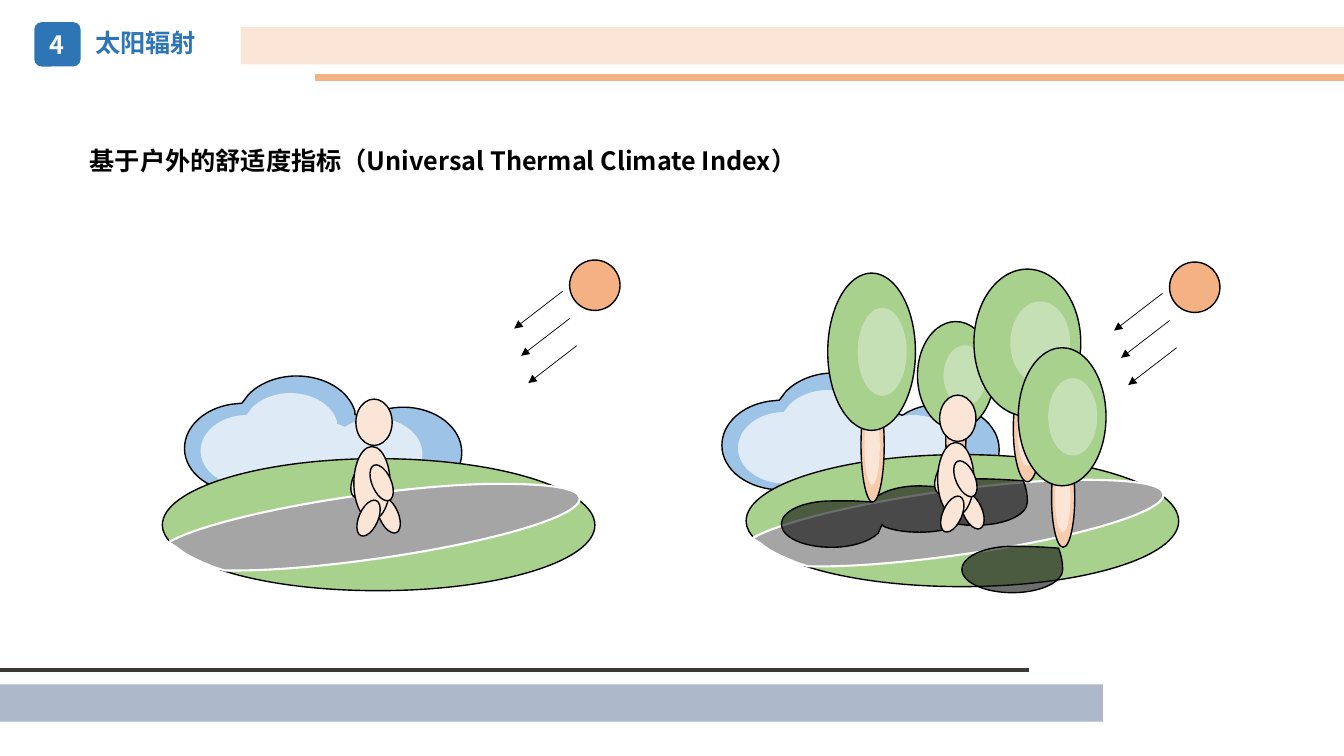
from dataclasses import dataclass
from typing import Optional

from pptx import Presentation
from pptx.dml.color import RGBColor
from pptx.enum.shapes import MSO_CONNECTOR, MSO_SHAPE
from pptx.enum.text import MSO_ANCHOR, MSO_AUTO_SIZE, PP_ALIGN
from pptx.oxml.ns import qn
from pptx.util import Inches, Pt
from lxml.etree import SubElement

FONT = "Noto Sans CJK SC"
COLOURS = {
    "blue": "2E75B6", "white": "FFFFFF", "black": "000000", "skin": "FBE5D6",
    "slate": "ADB9CA", "orange": "F4B183", "charcoal": "3B3838",
    "cloud": "9DC3E6", "cloud light": "DEEBF7", "green": "A9D18E",
    "green light": "C5E0B4", "road": "A5A5A5", "shade": "0D0D0D", "bark": "F8CBAD",
}

# Outlines: a pair is a corner, six numbers are a Bezier curve
CLOUD = [
    (1.11, 0), (1.4, 0, 1.63, 0.15, 1.69, 0.35), (1.69, 0.38), (1.79, 0.42), (1.84, 0.39),
    (1.93, 0.34, 2.05, 0.31, 2.17, 0.31), (2.49, 0.31, 2.75, 0.51, 2.75, 0.76),
    (2.75, 1.01, 2.49, 1.21, 2.17, 1.21), (2.09, 1.21, 2.01, 1.2, 1.94, 1.17),
    (1.85, 1.14), (1.79, 1.17), (1.7, 1.22, 1.59, 1.25, 1.47, 1.25),
    (1.3, 1.25, 1.16, 1.2, 1.05, 1.11), (0.98, 1.05), (0.87, 1.11),
    (0.78, 1.14, 0.69, 1.16, 0.59, 1.16), (0.26, 1.16, 0, 0.96, 0, 0.72),
    (0, 0.5, 0.2, 0.32, 0.47, 0.28), (0.57, 0.27), (0.63, 0.19),
    (0.73, 0.08, 0.91, 0, 1.11, 0),
]
LAWN = [
    (3.75, 4.55), (4.94, 4.55, 5.9, 4.85, 5.9, 5.21), (5.9, 5.57, 4.94, 5.86, 3.75, 5.86),
    (3.16, 5.86, 2.63, 5.79, 2.24, 5.67), (2.18, 5.65), (2.27, 5.65),
    (2.58, 5.65, 2.96, 5.62, 3.38, 5.56), (4.34, 5.43, 5.1, 5.2, 5.08, 5.05),
    (5.06, 4.91, 4.26, 4.89, 3.31, 5.02), (2.59, 5.12, 1.98, 5.28, 1.73, 5.41),
    (1.71, 5.4), (1.65, 5.34, 1.61, 5.28, 1.61, 5.21), (1.61, 4.85, 2.57, 4.55, 3.75, 4.55),
]
ROAD = [
    (4.95, 4.8), (5.43, 4.8, 5.74, 4.84, 5.75, 4.94), (5.78, 5.12, 4.85, 5.39, 3.69, 5.55),
    (3.18, 5.62, 2.71, 5.66, 2.34, 5.66), (2.23, 5.66), (2.13, 5.63),
    (1.98, 5.57, 1.84, 5.51, 1.75, 5.43), (1.67, 5.38), (1.69, 5.37),
    (1.99, 5.21, 2.73, 5.03, 3.6, 4.91), (4.11, 4.84, 4.58, 4.8, 4.95, 4.8),
]
TREE_SHADE = [
    (9.69, 4.75), (9.84, 4.75, 10, 4.76, 10.15, 4.77), (10.18, 4.84, 10.19, 4.91, 10.19, 4.98),
    (10.19, 5.11, 9.96, 5.21, 9.69, 5.21), (9.59, 5.21),
    (9.5, 5.2), (9.47, 5.22), (9.38, 5.26, 9.26, 5.28, 9.12, 5.28),
    (8.98, 5.28, 8.85, 5.26, 8.76, 5.22), (8.75, 5.2), (8.71, 5.29),
    (8.63, 5.37, 8.45, 5.43, 8.25, 5.43), (7.97, 5.43, 7.75, 5.33, 7.75, 5.2),
    (7.75, 5.07, 7.97, 4.97, 8.25, 4.97), (8.48, 4.97),
    (8.65, 4.98), (8.66, 4.96), (8.73, 4.88, 8.91, 4.82, 9.12, 4.82), (9.33, 4.83),
    (9.34, 4.82), (9.43, 4.78, 9.55, 4.75, 9.69, 4.75),
]


@dataclass
class Box:
    left: float
    top: float
    width: float
    height: float
    rotation: float = 0

    def moved(self, dx: float, dy: float) -> "Box":
        return Box(self.left + dx, self.top + dy, self.width, self.height, self.rotation)

    def inner(self, x: float, y: float, width: float, height: float) -> "Box":
        return Box(self.left + x * self.width, self.top + y * self.height,
                   width * self.width, height * self.height)

    def lengths(self) -> list:
        return [Inches(n) for n in (self.left, self.top, self.width, self.height)]


@dataclass
class Tree:
    trunk: Box
    crown: Box


@dataclass
class Scene:
    cloud: tuple[float, float]
    ground: tuple[float, float]  # shift of the lawn, road and person
    sun: tuple[float, float]
    trees: tuple = ()


TREES = (
    Tree(Box(8.54, 3.85, 0.23, 1.13), Box(8.21, 2.71, 0.87, 1.56)),
    Tree(Box(9.38, 3.97, 0.2, 0.77), Box(9.1, 3.19, 0.76, 1.07)),
    Tree(Box(10.05, 3.73, 0.28, 1.05), Box(9.66, 2.67, 1.06, 1.46)),
    Tree(Box(10.43, 4.44, 0.23, 0.99), Box(10.1, 3.45, 0.87, 1.37)),
)
SCENES = (
    Scene((7.16, 3.7), (5.79, -0.04), (11.6, 2.6), TREES),
    Scene((1.83, 3.73), (0, 0), (5.65, 2.58)),
)
PERSON = (  # far arm, far leg, head, torso, near arm, near leg
    Box(3.5, 4.57, 0.19, 0.38, 23.6), Box(3.76, 4.92, 0.19, 0.38, -23.6),
    Box(3.53, 3.96, 0.36, 0.46), Box(3.51, 4.43, 0.36, 0.73),
    Box(3.69, 4.6, 0.19, 0.38, -23.6), Box(3.56, 4.95, 0.19, 0.38, 23.6),
)


def paint(shape, fill: str, line: Optional[str] = None, width: float = 1, opacity: int = 100) -> None:
    shape.shadow.inherit = False
    shape.fill.solid()
    shape.fill.fore_color.rgb = RGBColor.from_string(COLOURS[fill])
    if opacity < 100:
        colour = shape._element.spPr.find(qn("a:solidFill"))[0]
        SubElement(colour, qn("a:alpha")).set("val", str(opacity * 1000))
    if line:
        shape.line.color.rgb = RGBColor.from_string(COLOURS[line])
        shape.line.width = Pt(width)
    else:
        shape.line.fill.background()


def add_preset(slide, kind, box: Box, fill: str, line: Optional[str] = None, **style):
    shape = slide.shapes.add_shape(kind, *box.lengths())
    shape.rotation = box.rotation
    paint(shape, fill, line, **style)
    return shape


def add_outline(slide, outline: list, shift: tuple, fill: str, line: Optional[str] = None,
                scale: float = 1, **style) -> None:
    points = [(Inches(step[n] * scale + shift[0]), Inches(step[n + 1] * scale + shift[1]))
              for step in outline for n in range(0, len(step), 2)]
    builder = slide.shapes.build_freeform(*points[0])
    builder.add_line_segments(points[1:], close=True)
    shape = builder.convert_to_shape()
    # Join each run of three control points into one curve
    segments = iter(list(shape._element.iter(qn("a:lnTo"))))
    for step in outline[1:]:
        segment = next(segments)
        if len(step) == 6:
            segment.tag = qn("a:cubicBezTo")
            for control in (next(segments), next(segments)):
                segment.append(control[0])
                control.getparent().remove(control)
    paint(shape, fill, line, **style)


def add_line(slide, start: tuple, end: tuple, colour: str, width: float, arrow: bool = False) -> None:
    connector = slide.shapes.add_connector(
        MSO_CONNECTOR.STRAIGHT, *[Inches(n) for n in (*start, *end)])
    connector.line.color.rgb = RGBColor.from_string(COLOURS[colour])
    connector.line.width = Pt(width)
    properties = connector._element.spPr
    if arrow:
        SubElement(properties.find(qn("a:ln")), qn("a:tailEnd")).set("type", "triangle")
    SubElement(properties, qn("a:effectLst"))


def write(shape, text: str, *, colour: str, size: float = 18, align=PP_ALIGN.CENTER,
          anchor=MSO_ANCHOR.MIDDLE, auto_size=MSO_AUTO_SIZE.NONE) -> None:
    frame = shape.text_frame
    frame.word_wrap = False
    frame.auto_size = auto_size
    frame.vertical_anchor = anchor
    paragraph = frame.paragraphs[0]
    paragraph.alignment = align
    run = paragraph.add_run()
    run.text = text
    run.font.name, run.font.size, run.font.bold = FONT, Pt(size), True
    run.font.color.rgb = RGBColor.from_string(COLOURS[colour])
    SubElement(run.font._element, qn("a:ea")).set("typeface", FONT)


def add_tree(slide, tree: Tree) -> None:
    add_preset(slide, MSO_SHAPE.OVAL, tree.trunk, "bark", "black")
    add_preset(slide, MSO_SHAPE.OVAL, tree.trunk.inner(0.15, 0.17, 0.66, 0.68), "skin")
    add_preset(slide, MSO_SHAPE.OVAL, tree.crown, "green", "black")
    add_preset(slide, MSO_SHAPE.OVAL, tree.crown.inner(0.34, 0.22, 0.56, 0.56), "green light")


def add_scene(slide, scene: Scene) -> None:
    # Cloud and ground
    add_outline(slide, CLOUD, scene.cloud, "cloud", "black")
    cloud_left, cloud_top = scene.cloud
    add_outline(slide, CLOUD, (cloud_left + 0.16, cloud_top + 0.17), "cloud light", scale=0.8)
    add_outline(slide, LAWN, scene.ground, "green", "black")
    add_outline(slide, ROAD, scene.ground, "road", "white", width=1.5)
    # Sun and rays
    left, top = scene.sun
    add_preset(slide, MSO_SHAPE.OVAL, Box(left, top, 0.5, 0.5), "orange", "black")
    for ray in range(3):
        x, y = left - 0.07 + 0.07 * ray, top + 0.31 + 0.27 * ray
        add_line(slide, (x, y), (x - 0.48, y + 0.37), "black", 0.5, arrow=True)
    # Trees with their shade
    if scene.trees:
        shade = add_preset(slide, MSO_SHAPE.TEAR, Box(9.54, 5.42, 1, 0.46), "shade", "black", opacity=60)
        shade.adjustments[0] = 0.92
        add_outline(slide, TREE_SHADE, (0, 0), "shade", "black", opacity=60)
    for tree in scene.trees:
        add_tree(slide, tree)
    # Person
    for part in PERSON:
        add_preset(slide, MSO_SHAPE.OVAL, part.moved(*scene.ground), "skin", "black")


def main() -> None:
    presentation = Presentation()
    presentation.slide_width, presentation.slide_height = Inches(13.33), Inches(7.5)
    slide = presentation.slides.add_slide(presentation.slide_layouts[5])
    # Header
    title = slide.shapes.title
    title.left, title.top, title.width, title.height = Box(0.84, 0.22, 1.21, 0.4).lengths()
    write(title, "太阳辐射", colour="blue")
    badge = add_preset(slide, MSO_SHAPE.ROUNDED_RECTANGLE, Box(0.34, 0.22, 0.46, 0.44), "blue")
    write(badge, "4", colour="white")
    # Bands and rules
    add_preset(slide, MSO_SHAPE.RECTANGLE, Box(2.39, 0.27, 10.94, 0.37), "skin")
    add_preset(slide, MSO_SHAPE.RECTANGLE, Box(0, 6.79, 10.94, 0.37), "slate")
    add_line(slide, (13.39, 0.77), (3.12, 0.77), "orange", 4.5)
    add_line(slide, (10.21, 6.65), (-0.05, 6.65), "charcoal", 3)
    # Heading and scenes
    heading = slide.shapes.add_textbox(*Box(0.79, 1.39, 7.35, 0.4).lengths())
    write(heading, "基于户外的舒适度指标（Universal Thermal Climate Index）", colour="black",
          align=PP_ALIGN.LEFT, anchor=MSO_ANCHOR.TOP, auto_size=MSO_AUTO_SIZE.SHAPE_TO_FIT_TEXT)
    for scene in SCENES:
        add_scene(slide, scene)
    presentation.save("out.pptx")


if __name__ == "__main__":
    main()
